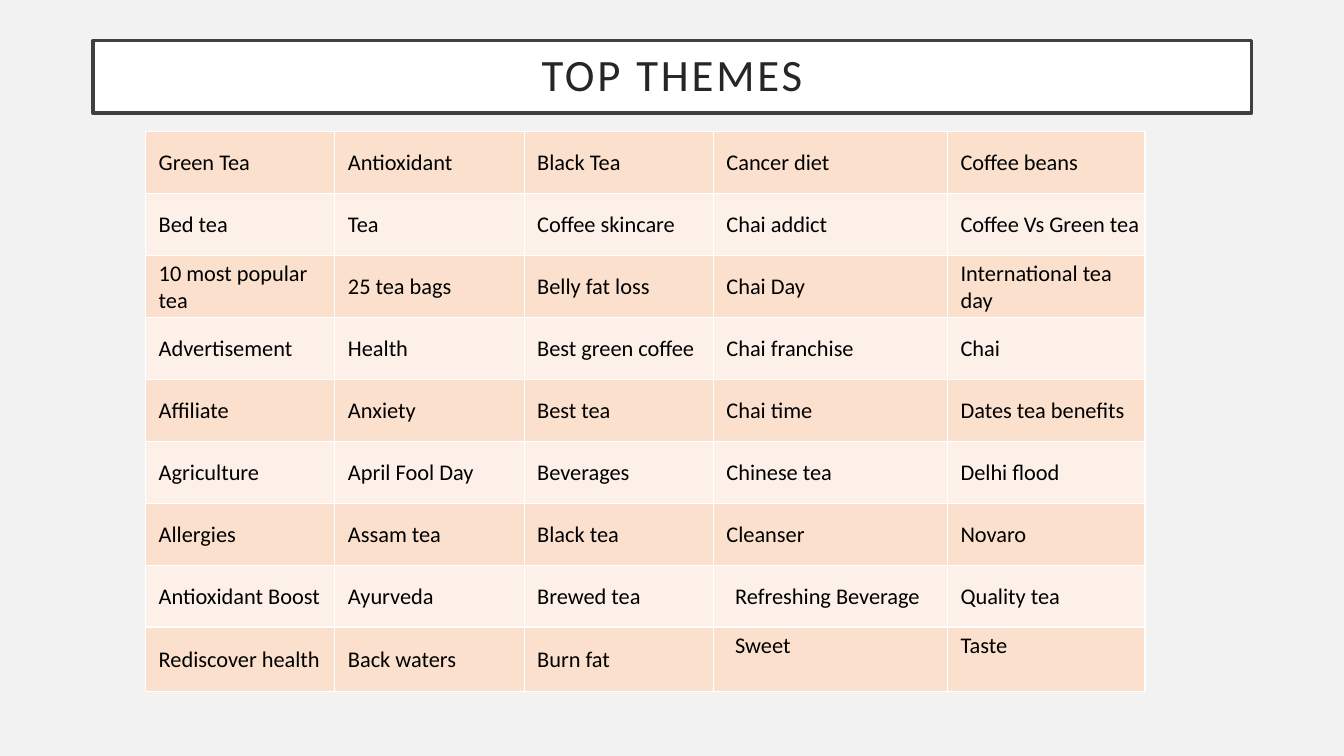
from lxml import etree
from pptx import Presentation
from pptx.dml.color import RGBColor
from pptx.enum.text import MSO_ANCHOR, MSO_AUTO_SIZE, PP_ALIGN
from pptx.oxml.ns import qn
from pptx.util import Cm, Pt

MIDDLE, TOP = MSO_ANCHOR.MIDDLE, MSO_ANCHOR.TOP
CENTER = PP_ALIGN.CENTER
NO_FIT = MSO_AUTO_SIZE.NONE

BACKGROUND = RGBColor(0xF2, 0xF2, 0xF2)
WHITE = RGBColor(0xFF, 0xFF, 0xFF)
BLACK = RGBColor(0, 0, 0)
FRAME = RGBColor(0x40, 0x40, 0x40)
TITLE_TEXT = RGBColor(0x26, 0x26, 0x26)
BANDS = (RGBColor(0xFB, 0xE0, 0xCD), RGBColor(0xFD, 0xF0, 0xE8))
FONT = "Calibri"

THEMES = [
    ["Green Tea", "Antioxidant", "Black Tea", "Cancer diet", "Coffee beans"],
    ["Bed tea", "Tea", "Coffee skincare", "Chai addict", "Coffee Vs Green tea"],
    ["10 most popular tea", "25 tea bags", "Belly fat loss", "Chai Day",
     "International tea day"],
    ["Advertisement", "Health", "Best green coffee", "Chai franchise", "Chai"],
    ["Affiliate", "Anxiety", "Best tea", "Chai time", "Dates tea benefits"],
    ["Agriculture", "April Fool Day", "Beverages", "Chinese tea", "Delhi flood"],
    ["Allergies", "Assam tea", "Black tea", "Cleanser", "Novaro"],
    ["Antioxidant Boost", "Ayurveda", "Brewed tea", "Refreshing Beverage",
     "Quality tea"],
    ["Rediscover health", "Back waters", "Burn fat", "Sweet", "Taste"],
]
COL_WIDTHS = (4.77, 4.77, 4.77, 5.9, 4.98)
ROW_HEIGHTS = [1.56] * 8 + [1.63]
WIDE_INSET = {"Refreshing Beverage", "Sweet"}
TOP_ALIGNED = {"Sweet", "Taste"}


def add_run(p, text, size, color):
    """Add one formatted run to a paragraph."""
    r = p.add_run()
    r.text = text
    r.font.name = FONT
    r.font.size = Pt(size)
    r.font.color.rgb = color
    return r


def add_title(s, left, top, width, height):
    """Frame the title placeholder in the given box."""
    sp = s.shapes.title
    sp.left, sp.top, sp.width, sp.height = map(Cm, (left, top, width, height))
    sp.fill.solid()
    sp.fill.fore_color.rgb = WHITE
    sp.line.color.rgb = FRAME
    sp.line.width = Pt(2.5)
    tf = sp.text_frame
    tf.word_wrap = True
    tf.auto_size = NO_FIT
    tf.vertical_anchor = MIDDLE
    tf.margin_left = tf.margin_right = Cm(0.51)
    tf.margin_top = tf.margin_bottom = Cm(0.51)
    p = tf.paragraphs[0]
    p.alignment = CENTER
    p.line_spacing = 0.9
    r = add_run(p, "TOP THEMES", 32, TITLE_TEXT)
    r.font._element.set("spc", "200")


def add_borders(cell):
    """Draw a thin white line on every side of a cell."""
    tcPr = cell._tc.get_or_add_tcPr()
    for side in ("a:lnL", "a:lnR", "a:lnT", "a:lnB"):
        ln = etree.SubElement(tcPr, qn(side), w=str(Pt(1)))
        fill = etree.SubElement(ln, qn("a:solidFill"))
        etree.SubElement(fill, qn("a:srgbClr"), val=str(WHITE))


def fill_cell(cell, text, color):
    """Write and format one theme cell."""
    add_borders(cell)
    cell.fill.solid()
    cell.fill.fore_color.rgb = color
    cell.vertical_anchor = TOP if text in TOP_ALIGNED else MIDDLE
    side = 0.25 if text in WIDE_INSET else 0.03
    cell.margin_left = cell.margin_right = Cm(side)
    cell.margin_top = Cm(0.13 if text in TOP_ALIGNED else 0.03)
    cell.margin_bottom = Cm(0)
    p = cell.text_frame.paragraphs[0]
    p._p.get_or_add_pPr().set("marL", str(Cm(0.3)))
    add_run(p, text, 16, BLACK)


def add_themes(s, left, top):
    """Add the banded table of themes at the given corner."""
    frame = s.shapes.add_table(len(THEMES), len(COL_WIDTHS), Cm(left), Cm(top),
                               Cm(sum(COL_WIDTHS)), Cm(sum(ROW_HEIGHTS)))
    table = frame.table
    table.first_row = table.horz_banding = False
    for col, width in zip(table.columns, COL_WIDTHS):
        col.width = Cm(width)
    for i, (row, height) in enumerate(zip(table.rows, ROW_HEIGHTS)):
        row.height = Cm(height)
        for cell, text in zip(row.cells, THEMES[i]):
            fill_cell(cell, text, BANDS[i % 2])


def main():
    """Build the slide and save it."""
    prs = Presentation()
    prs.slide_width, prs.slide_height = Cm(33.87), Cm(19.05)
    s = prs.slides.add_slide(prs.slide_layouts[5])
    s.background.fill.solid()
    s.background.fill.fore_color.rgb = BACKGROUND
    add_title(s, 2.34, 1.02, 29.2, 1.83)
    add_themes(s, 3.67, 3.32)
    prs.save("out.pptx")


if __name__ == "__main__":
    main()
